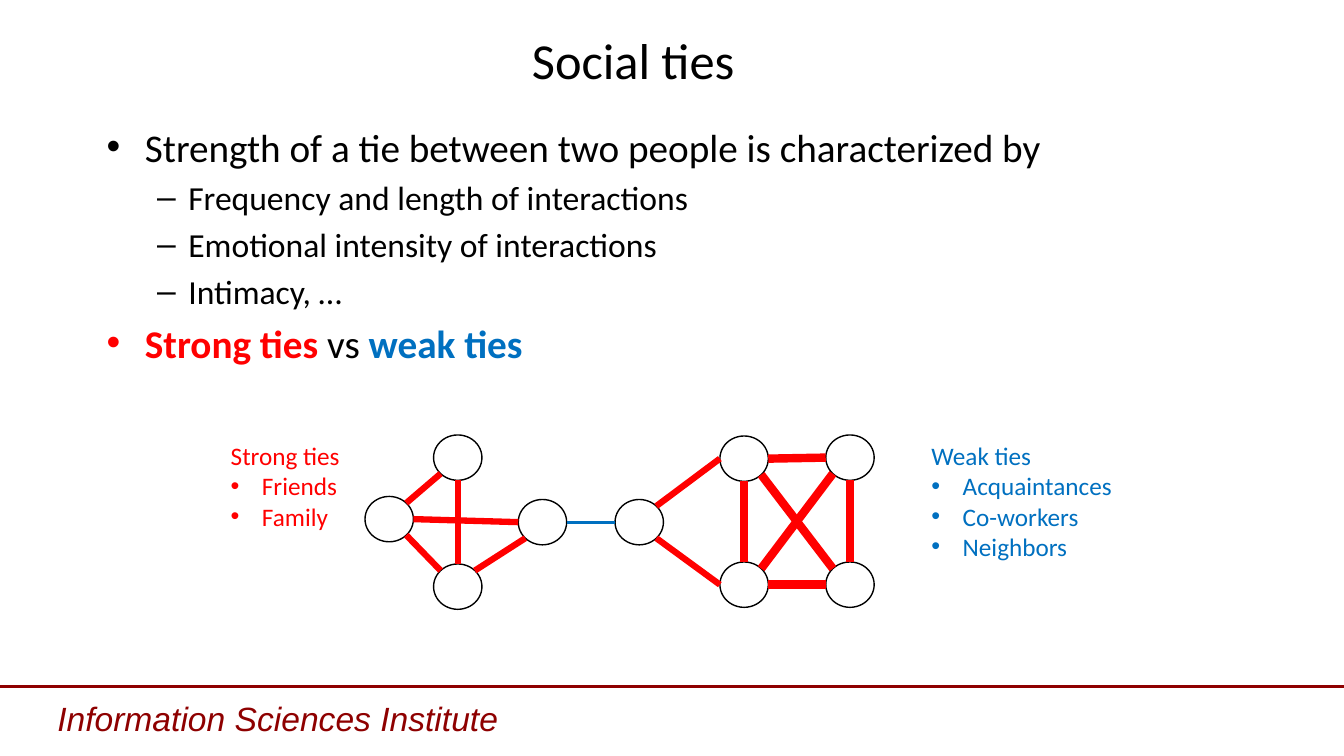
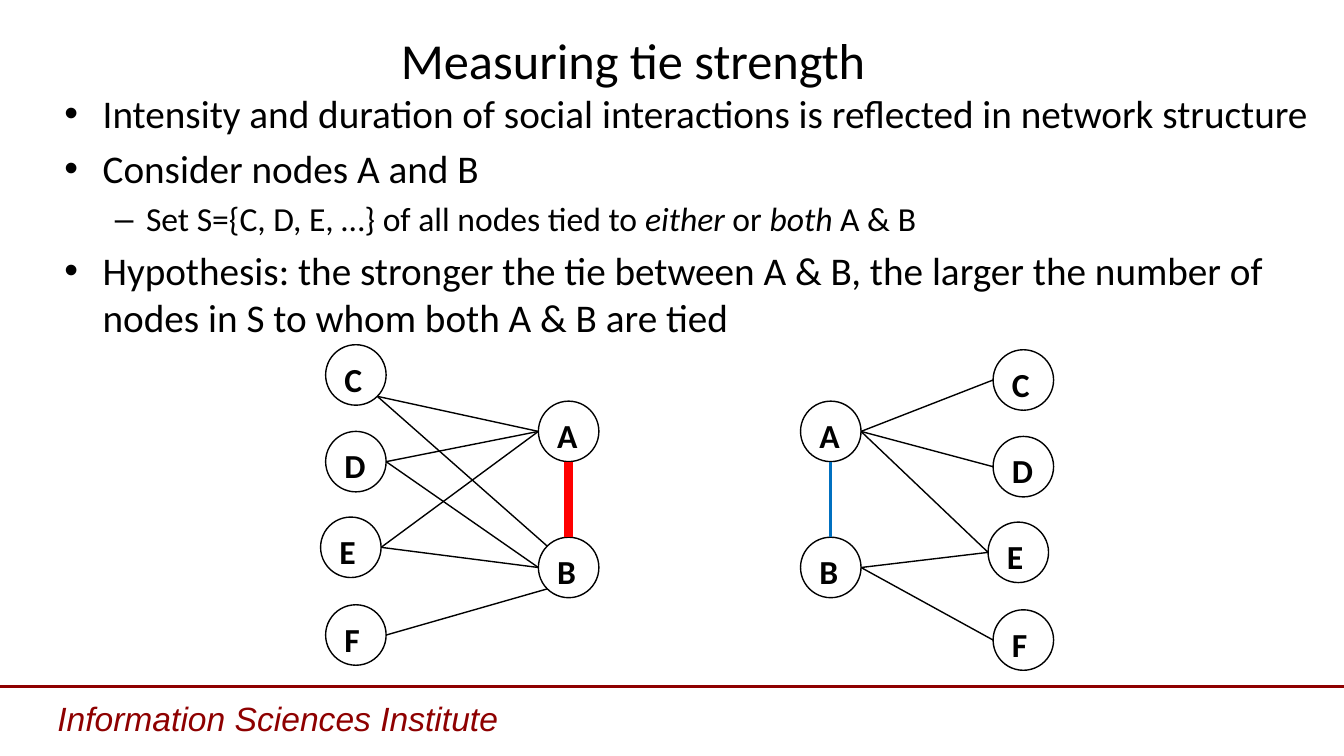
from math import sqrt

from lxml import etree
from pptx import Presentation
from pptx.dml.color import RGBColor
from pptx.enum.shapes import MSO_CONNECTOR, MSO_SHAPE
from pptx.enum.text import MSO_ANCHOR, PP_ALIGN
from pptx.oxml.ns import qn
from pptx.util import Emu, Pt

STRAIGHT = MSO_CONNECTOR.STRAIGHT
OVAL = MSO_SHAPE.OVAL
LEFT, CENTER = PP_ALIGN.LEFT, PP_ALIGN.CENTER
TOP, MIDDLE = MSO_ANCHOR.TOP, MSO_ANCHOR.MIDDLE

# Shared look; lengths are px, 100 to the inch
PX = 9144
WIDTH, HEIGHT = 1333, 750
BLACK, WHITE, RED, BLUE, MAROON = "000000", "FFFFFF", "FF0000", "0070C0", "8E0000"
BODY_FONT, FOOTER_FONT = "Calibri", "Arial"
TITLE_BOX = (67, 24, 1122, 70)
FOOTER_BOX = (47, 687, 657, 51)
FOOTER_RULE_Y = 681
FOOTER = "Information Sciences Institute"

# Paragraph kinds: bullet, left indent, hanging indent, size, space before
KINDS = {
    "plain": ("", 0, 0, 18, 0),
    "item": ("•", 31, 31, 18, 0),
    "main": ("•", 38, 38, 28, 5.6),
    "sub": ("–", 81, 31, 24, 4.8),
    "title": ("", 0, 0, 36, 0),
    "footer": ("", 0, 0, 24, 0),
    "node": ("", 0, 0, 24, 0),
}

# Slide content: a paragraph is its kind and its runs (text, style, colour),
# a tie is start node, its side, end node, its side, colour, line width
SOCIAL_BODY = [
    ("main", [("Strength of a tie between two people is characterized by", "", BLACK)]),
    ("sub", [("Frequency and length of interactions", "", BLACK)]),
    ("sub", [("Emotional intensity of interactions", "", BLACK)]),
    ("sub", [("Intimacy, …", "", BLACK)]),
    ("main", [("Strong ties ", "b", RED), ("vs ", "", BLACK), ("weak ties", "b", BLUE)]),
]
TIE_LISTS = [
    ((219, 432, 130, 101), RED, "Strong ties", ["Friends", "Family"]),
    ((914, 432, 201, 131), BLUE, "Weak ties", ["Acquaintances", "Co-workers", "Neighbors"]),
]
PERSON_SIZE = (48, 45)
PEOPLE = {
    "west": (386, 515), "north": (454, 454), "south": (454, 582), "east": (538, 518),
    "bridge": (634, 518),
    "top left": (738, 455), "top right": (843, 454),
    "low left": (738, 580), "low right": (843, 580),
}
PEOPLE_TIES = [
    ("south", "n", "north", "s", RED, 4.5),
    ("south", "nw", "west", "se", RED, 4.5),
    ("north", "sw", "west", "ne", RED, 4.5),
    ("south", "ne", "east", "sw", RED, 4.5),
    ("west", "e", "east", "w", RED, 4.5),
    ("bridge", "se", "low left", "w", RED, 4.5),
    ("bridge", "ne", "top left", "w", RED, 4.5),
    ("top left", "e", "top right", "w", RED, 6),
    ("low left", "e", "low right", "w", RED, 6),
    ("top right", "s", "low right", "n", RED, 6),
    ("top left", "s", "low left", "n", RED, 6),
    ("top left", "se", "low right", "nw", RED, 6),
    ("low left", "ne", "top right", "sw", RED, 6),
    ("east", "e", "bridge", "w", BLUE, 2.25),
]

MEASURING_BODY = [
    ("main", [("Intensity and duration of social interactions is reflected in network structure",
               "", BLACK)]),
    ("main", [("Consider nodes A and B", "", BLACK)]),
    ("sub", [("Set S={C, D, E, …} of all nodes tied to ", "", BLACK), ("either ", "i", BLACK),
             ("or ", "", BLACK), ("both", "i", BLACK), (" A & B", "", BLACK)]),
    ("main", [("Hypothesis: the stronger the tie between A & B, the larger the number of "
               "nodes in S to whom both A & B are tied", "", BLACK)]),
]
LETTER_SIZE = (60, 60)
STRONG_NETWORK = {
    "A": (564, 428), "B": (564, 563),
    "C": (353, 372), "D": (353, 458), "E": (348, 543), "F": (353, 630),
}
STRONG_TIES = [
    ("A", "w", "C", "se", BLACK, 1),
    ("A", "w", "D", "e", BLACK, 1),
    ("A", "w", "E", "e", BLACK, 1),
    ("B", "nw", "C", "se", BLACK, 1),
    ("B", "sw", "F", "e", BLACK, 1),
    ("B", "w", "D", "e", BLACK, 1),
    ("B", "w", "E", "e", BLACK, 1),
    ("B", "n", "A", "s", RED, 6),
]
WEAK_NETWORK = {
    "A": (824, 428), "B": (824, 563),
    "C": (1015, 377), "D": (1015, 463), "E": (1010, 548), "F": (1015, 635),
}
WEAK_TIES = [
    ("A", "e", "C", "w", BLACK, 1),
    ("A", "e", "D", "w", BLACK, 1),
    ("A", "e", "E", "w", BLACK, 1),
    ("B", "e", "E", "w", BLACK, 1),
    ("B", "e", "F", "w", BLACK, 1),
    ("B", "n", "A", "s", BLUE, 2.25),
]


def px(*lengths):
    return [Emu(round(length * PX)) for length in lengths]


def color(hex_string):
    return RGBColor.from_string(hex_string)


# Text
def set_bullet(paragraph, character, left, hanging, hex_string):
    properties = paragraph._p.get_or_add_pPr()
    properties.set("marL", str(left * PX))
    properties.set("indent", str(-hanging * PX))
    bullet_color = etree.SubElement(properties, qn("a:buClr"))
    etree.SubElement(bullet_color, qn("a:srgbClr"), val=hex_string)
    etree.SubElement(properties, qn("a:buFont"), typeface="Arial")
    etree.SubElement(properties, qn("a:buChar"), char=character)


def write(shape, paragraphs, font=BODY_FONT, align=LEFT, anchor=TOP):
    frame = shape.text_frame
    frame.word_wrap = True
    frame.vertical_anchor = anchor
    for index, (kind, runs) in enumerate(paragraphs):
        paragraph = frame.add_paragraph() if index else frame.paragraphs[0]
        bullet, left, hanging, size, before = KINDS[kind]
        paragraph.alignment = align
        if kind == "sub":
            paragraph.level = 1
        if bullet:
            set_bullet(paragraph, bullet, left, hanging, runs[0][2])
        paragraph.space_before = Pt(before if index else 0)
        for text, style, hex_string in runs:
            run = paragraph.add_run()
            run.text = text
            run.font.name = font
            run.font.size = Pt(size)
            run.font.bold = "b" in style
            run.font.italic = "i" in style
            run.font.color.rgb = color(hex_string)


def add_text(slide, box, paragraphs, **options):
    write(slide.shapes.add_textbox(*px(*box)), paragraphs, **options)


# Lines and networks
def add_line(slide, start, end, hex_string, width):
    line = slide.shapes.add_connector(STRAIGHT, *px(*start, *end))
    line.line.color.rgb = color(hex_string)
    line.line.width = Pt(width)
    etree.SubElement(line._element.spPr, qn("a:effectLst"))


def rim_point(center, size, side):
    """Point on an oval's rim in a compass direction."""
    across = ("e" in side) - ("w" in side)
    down = ("s" in side) - ("n" in side)
    reach = sqrt(across ** 2 + down ** 2)
    return (center[0] + across * size[0] / 2 / reach,
            center[1] + down * size[1] / 2 / reach)


def add_network(slide, nodes, size, ties, lettered=False):
    width, height = size
    for name, (x, y) in nodes.items():
        oval = slide.shapes.add_shape(OVAL, *px(x - width / 2, y - height / 2, width, height))
        oval.shadow.inherit = False
        oval.fill.solid()
        oval.fill.fore_color.rgb = color(WHITE)
        oval.line.color.rgb = color(BLACK)
        oval.line.width = Pt(1)
        if lettered:
            write(oval, [("node", [(name, "b", BLACK)])])
    for start, start_side, end, end_side, hex_string, weight in ties:
        add_line(slide, rim_point(nodes[start], size, start_side),
                 rim_point(nodes[end], size, end_side), hex_string, weight)


# Slides
def add_slide(presentation, title, body_box, body):
    slide = presentation.slides.add_slide(presentation.slide_layouts[6])
    add_line(slide, (0, FOOTER_RULE_Y), (WIDTH, FOOTER_RULE_Y), MAROON, 2.25)
    add_text(slide, FOOTER_BOX, [("footer", [(FOOTER, "i", MAROON)])], font=FOOTER_FONT)
    add_text(slide, TITLE_BOX, [("title", [(title, "", BLACK)])], align=CENTER, anchor=MIDDLE)
    add_text(slide, body_box, body)
    return slide


def main():
    presentation = Presentation()
    presentation.slide_width, presentation.slide_height = px(WIDTH, HEIGHT)

    social = add_slide(presentation, "Social ties", (96, 117, 1020, 299), SOCIAL_BODY)
    add_network(social, PEOPLE, PERSON_SIZE, PEOPLE_TIES)
    for box, hex_string, heading, items in TIE_LISTS:
        paragraphs = [("plain", [(heading, "", hex_string)])]
        paragraphs += [("item", [(item, "", hex_string)]) for item in items]
        add_text(social, box, paragraphs)

    measuring = add_slide(presentation, "Measuring tie strength", (54, 84, 1265, 271),
                          MEASURING_BODY)
    add_network(measuring, STRONG_NETWORK, LETTER_SIZE, STRONG_TIES, lettered=True)
    add_network(measuring, WEAK_NETWORK, LETTER_SIZE, WEAK_TIES, lettered=True)

    presentation.save("out.pptx")


if __name__ == "__main__":
    main()
